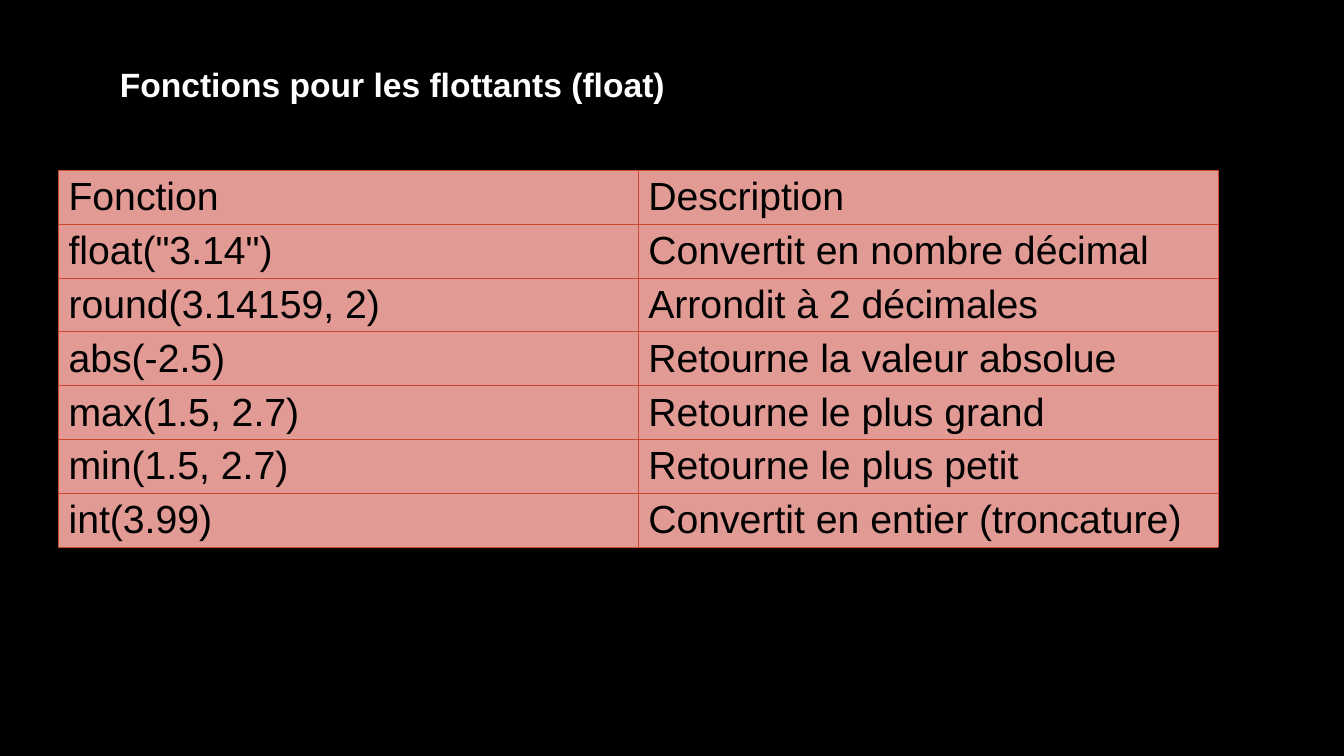
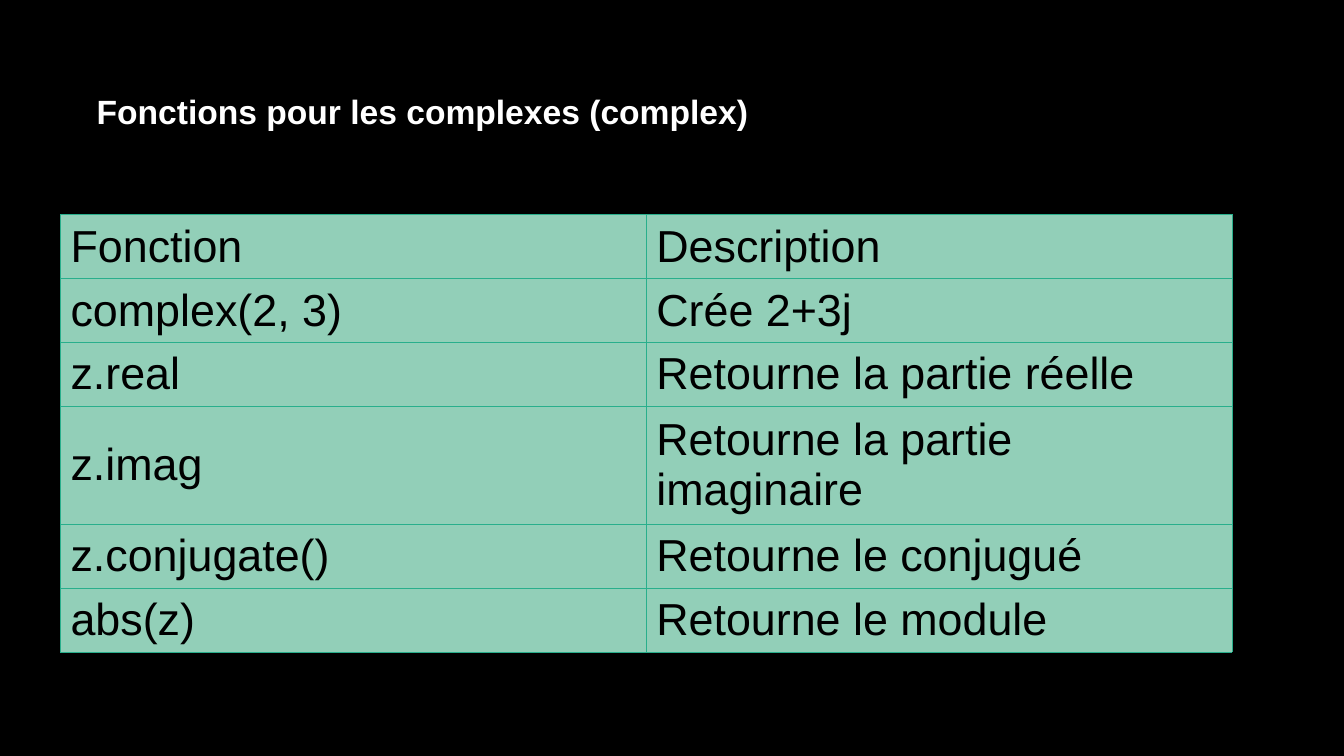
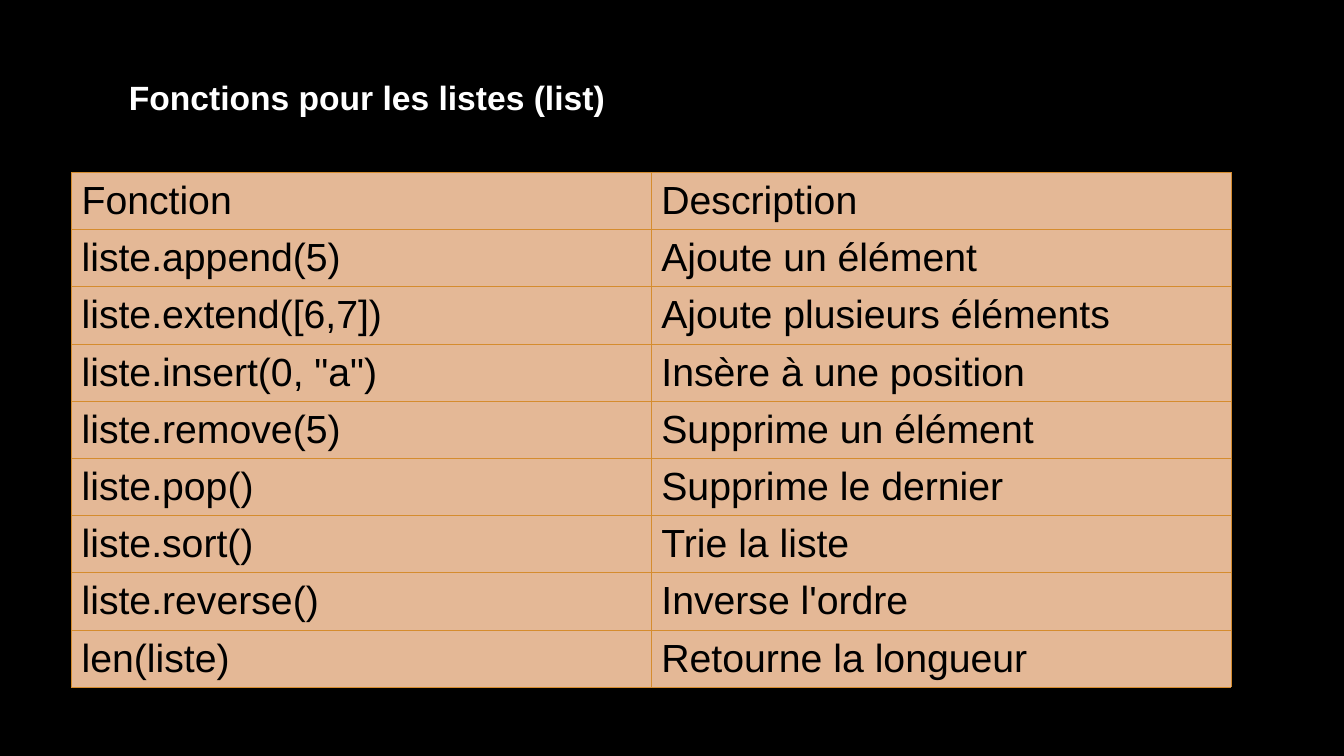
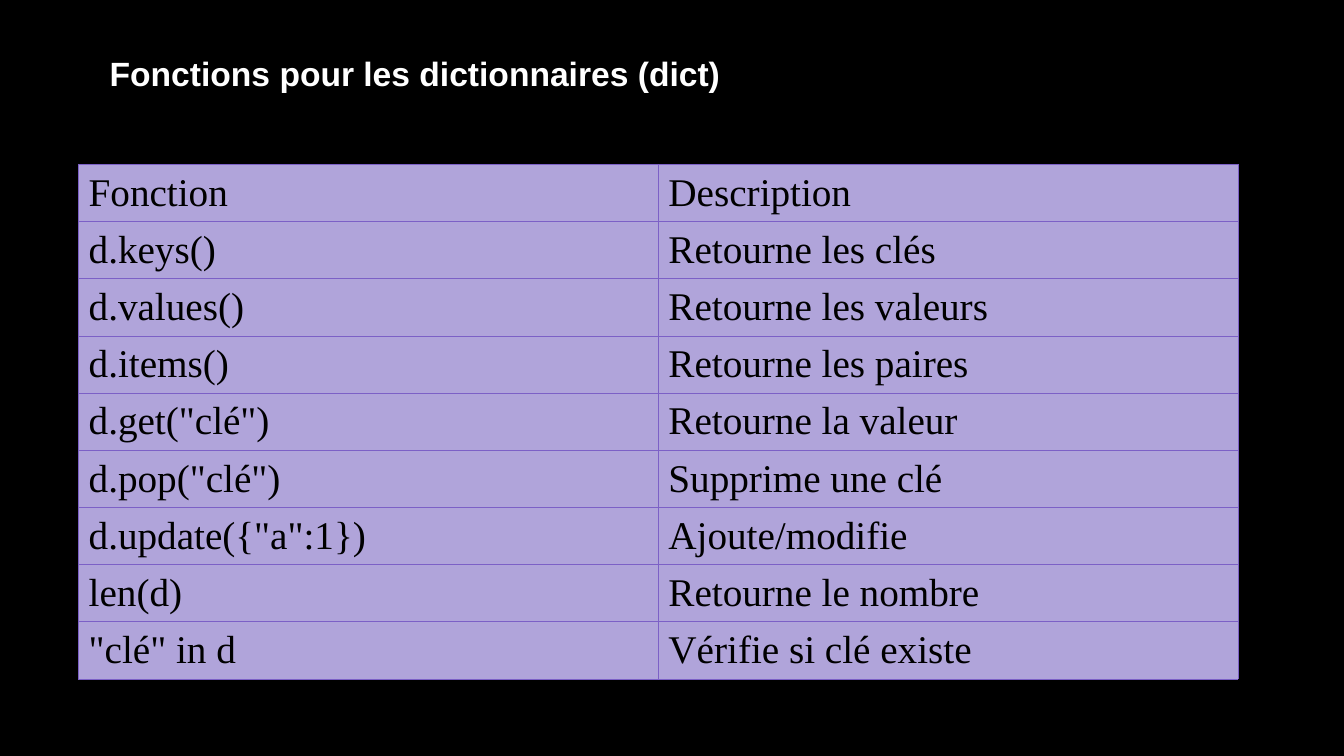
from lxml import etree
from pptx import Presentation
from pptx.dml.color import RGBColor
from pptx.enum.text import MSO_ANCHOR
from pptx.oxml.ns import qn
from pptx.util import Inches, Pt

MIDDLE, TOP = MSO_ANCHOR.MIDDLE, MSO_ANCHOR.TOP

COLORS = {
    "background": "000000",
    "title": "FFFFFF",
    "cell_text": "000000",
    "red": "E19A94", "red_line": "C9492C",
    "green": "92CFB8", "green_line": "29AF8C",
    "orange": "E4B896", "orange_line": "D58C2E",
    "purple": "B0A4DA", "purple_line": "7C60C6",
}
TITLE_FONT = "Arial"
TITLE_HEIGHT = 0.81
HEADER = ("Fonction", "Description")
BORDER_WIDTH = Pt(0.5)

SLIDES = [
    {
        "title": "Fonctions pour les flottants (float)",
        "title_box": (1.09, 0.56, 7.9),
        "table_box": (0.58, 1.69, 11.5),
        "theme": "red", "font": "Arial", "size": 28, "row_height": 0.53,
        "rows": [
            ('float("3.14")', "Convertit en nombre décimal"),
            ("round(3.14159, 2)", "Arrondit à 2 décimales"),
            ("abs(-2.5)", "Retourne la valeur absolue"),
            ("max(1.5, 2.7)", "Retourne le plus grand"),
            ("min(1.5, 2.7)", "Retourne le plus petit"),
            ("int(3.99)", "Convertit en entier (troncature)"),
        ],
    },
    {
        "title": "Fonctions pour les complexes (complex)",
        "title_box": (0.86, 0.83, 7.28),
        "table_box": (0.6, 2.13, 11.62),
        "theme": "green", "font": "Arial", "size": 32, "row_height": 0.59,
        "rows": [
            ("complex(2, 3)", "Crée 2+3j"),
            ("z.real", "Retourne la partie réelle"),
            ("z.imag", "Retourne la partie imaginaire"),
            ("z.conjugate()", "Retourne le conjugué"),
            ("abs(z)", "Retourne le module"),
        ],
    },
    {
        "title": "Fonctions pour les listes (list)",
        "title_box": (1.18, 0.69, 5.83),
        "table_box": (0.71, 1.71, 11.5),
        "theme": "orange", "font": "Arial", "size": 28, "row_height": 0.53,
        "rows": [
            ("liste.append(5)", "Ajoute un élément"),
            ("liste.extend([6,7])", "Ajoute plusieurs éléments"),
            ('liste.insert(0, "a")', "Insère à une position"),
            ("liste.remove(5)", "Supprime un élément"),
            ("liste.pop()", "Supprime le dernier"),
            ("liste.sort()", "Trie la liste"),
            ("liste.reverse()", "Inverse l'ordre"),
            ("len(liste)", "Retourne la longueur"),
        ],
    },
    {
        "title": "Fonctions pour les dictionnaires (dict)",
        "title_box": (0.99, 0.45, 7.56),
        "table_box": (0.78, 1.63, 11.5),
        "theme": "purple", "font": "Times New Roman", "size": 28, "row_height": 0.53,
        "rows": [
            ("d.keys()", "Retourne les clés"),
            ("d.values()", "Retourne les valeurs"),
            ("d.items()", "Retourne les paires"),
            ('d.get("clé")', "Retourne la valeur"),
            ('d.pop("clé")', "Supprime une clé"),
            ('d.update({"a":1})', "Ajoute/modifie"),
            ("len(d)", "Retourne le nombre"),
            ('"clé" in d', "Vérifie si clé existe"),
        ],
    },
]


def rgb(name):
    return RGBColor.from_string(COLORS[name])


def style_font(p, name, size, color, bold=False):
    p.font.name = name
    p.font.size = Pt(size)
    p.font.bold = bold
    p.font.color.rgb = rgb(color)


def set_borders(cell, color):
    """Draw all four edges; the schema wants them ahead of the cell fill."""
    tcPr = cell._tc.get_or_add_tcPr()
    for i, edge in enumerate(("lnL", "lnR", "lnT", "lnB")):
        ln = etree.Element(qn(f"a:{edge}"), w=str(BORDER_WIDTH))
        fill = etree.SubElement(ln, qn("a:solidFill"))
        etree.SubElement(fill, qn("a:srgbClr"), val=COLORS[color])
        tcPr.insert(i, ln)


def add_title(s, text, box):
    left, top, width = map(Inches, box)
    tf = s.shapes.add_textbox(left, top, width, Inches(TITLE_HEIGHT)).text_frame
    tf.word_wrap = True
    tf.vertical_anchor = TOP
    tf.margin_top = Inches(0.07)
    p = tf.paragraphs[0]
    p.text = text
    style_font(p, TITLE_FONT, 24, "title", bold=True)


def add_function_table(s, rows, box, theme, font, size, row_height):
    left, top, width = map(Inches, box)
    rows = [HEADER, *rows]
    height = Inches(row_height)
    table = s.shapes.add_table(len(rows), len(HEADER), left, top, width,
                               height * len(rows)).table
    table.first_row = table.horz_banding = False
    for row, texts in zip(table.rows, rows):
        row.height = height
        for cell, text in zip(row.cells, texts):
            cell.text = text
            cell.vertical_anchor = MIDDLE
            cell.fill.solid()
            cell.fill.fore_color.rgb = rgb(theme)
            set_borders(cell, f"{theme}_line")
            style_font(cell.text_frame.paragraphs[0], font, size, "cell_text")


def add_function_slide(prs, content):
    s = prs.slides.add_slide(prs.slide_layouts[6])
    s.background.fill.solid()
    s.background.fill.fore_color.rgb = rgb("background")
    add_function_table(s, content["rows"], content["table_box"], content["theme"],
                       content["font"], content["size"], content["row_height"])
    add_title(s, content["title"], content["title_box"])


def main():
    prs = Presentation()
    prs.slide_width, prs.slide_height = Inches(13.33), Inches(7.5)
    for content in SLIDES:
        add_function_slide(prs, content)
    prs.save("out.pptx")


if __name__ == "__main__":
    main()
